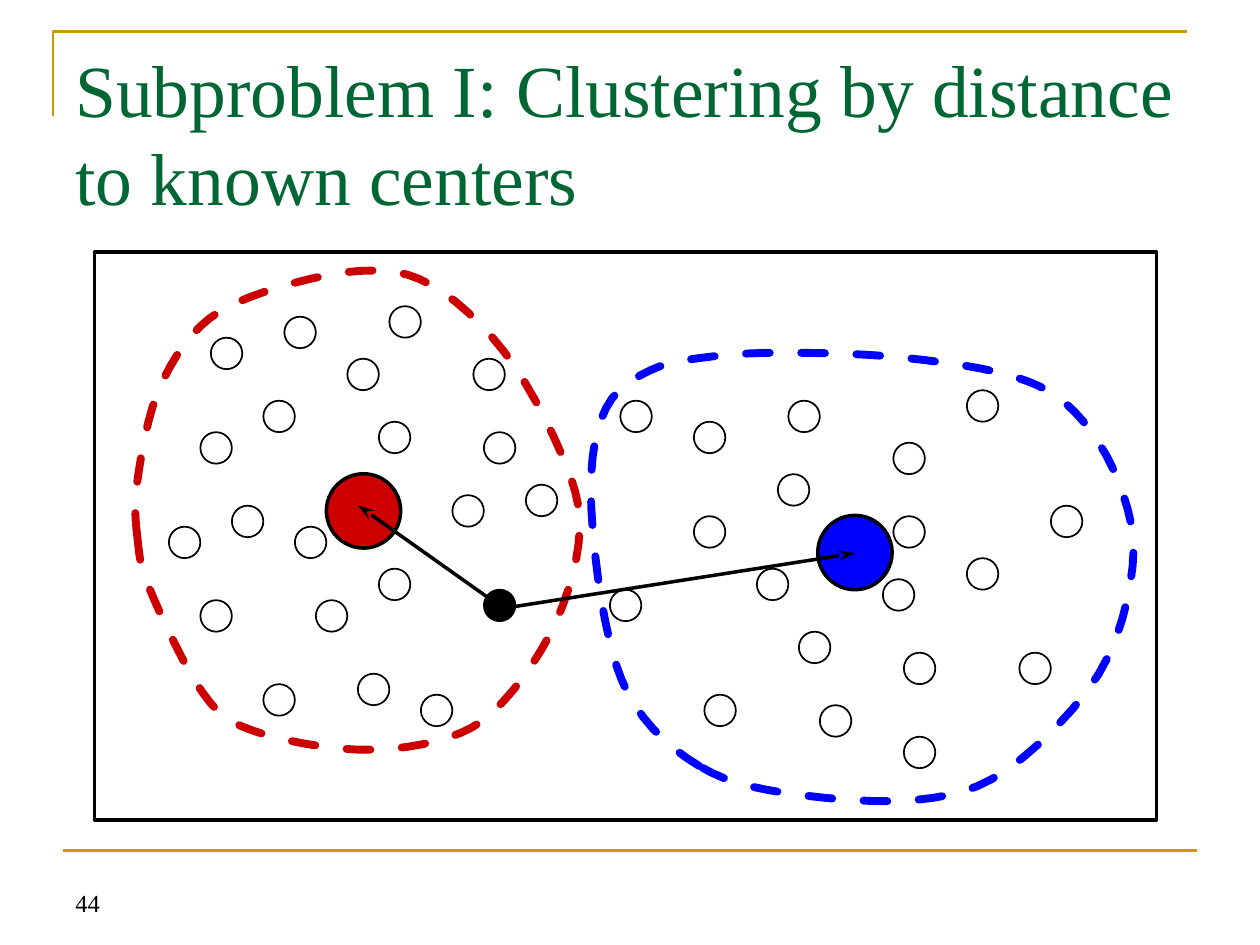
from lxml import etree
from pptx import Presentation
from pptx.dml.color import RGBColor
from pptx.enum.dml import MSO_LINE
from pptx.enum.shapes import MSO_CONNECTOR, MSO_SHAPE
from pptx.enum.text import MSO_ANCHOR
from pptx.oxml.ns import qn
from pptx.util import Cm, Pt

RECT, OVAL = MSO_SHAPE.RECTANGLE, MSO_SHAPE.OVAL
LINE, DASH = MSO_CONNECTOR.STRAIGHT, MSO_LINE.DASH
TOP, BOTTOM = MSO_ANCHOR.TOP, MSO_ANCHOR.BOTTOM
GOLD, GREEN, BLACK = "CC9900", "006633", "000000"
RED, BLUE = "CC0000", "0000FF"

DOT, HUB = 0.25, 0.59
GRID_X, GRID_Y, UNIT = 1.34, 2.43, 1 / 12
STEPS = 6

DOT_COLS = {
    0: [21], 1: [11], 3: [4], 5: [17, 29], 8: [76], 9: [9, 43, 59],
    11: [20, 50], 12: [3, 30], 13: [69], 16: [58], 17: [34], 18: [27],
    19: [6, 84], 20: [50, 69], 21: [0, 12], 24: [76], 25: [20, 56],
    26: [68], 27: [42], 28: [3, 14], 31: [60], 33: [70, 81], 35: [18],
    36: [9], 37: [24, 51], 38: [62], 41: [70],
}
RED_KNOTS = [
    (1.09, 4.26), (1.09, 3.82), (1.25, 3.12), (1.59, 2.59), (2.09, 2.32),
    (2.86, 2.15), (3.42, 2.26), (4, 2.79), (4.45, 3.59), (4.6, 4.2),
    (4.42, 4.92), (4.01, 5.55), (3.57, 5.85), (2.84, 5.95), (2.01, 5.8),
    (1.61, 5.5), (1.19, 4.68),
]
BLUE_KNOTS = [
    (5.55, 6.08), (5.04, 5.6), (4.8, 4.91), (4.69, 3.88), (4.81, 3.24),
    (5.16, 2.94), (5.65, 2.83), (6.29, 2.8), (7.18, 2.84), (8.05, 2.99),
    (8.53, 3.27), (8.88, 3.83), (8.99, 4.49), (8.72, 5.35), (7.99, 6.11),
    (7.26, 6.35), (6.21, 6.29),
]


def paint(code):
    return RGBColor.from_string(code)


def size(*vals):
    return [Cm(val * 2.54) for val in vals]


def grid(col, row):
    return GRID_X + col * UNIT, GRID_Y + row * UNIT


def blend(a, b, c, d, t):
    slope = c - a
    bend = 2 * a - 5 * b + 4 * c - d
    twist = 3 * (b - c) + d - a
    return b + (slope * t + bend * t ** 2 + twist * t ** 3) / 2


def spline(knots):
    count = len(knots)
    spots = []
    for num in range(count):
        near = [knots[(num + step) % count] for step in (-1, 0, 1, 2)]
        for step in range(STEPS):
            spots.append([blend(*axis, step / STEPS) for axis in zip(*near)])
    return spots


class Deck:
    face = "Times New Roman"

    def __init__(self):
        self.prs = Presentation()
        self.prs.slide_width, self.prs.slide_height = size(10, 7.5)
        self.slide = self.prs.slides.add_slide(self.prs.slide_layouts[6])
        self.shapes = self.slide.shapes

    def pen(self, item, code, width):
        item.line.color.rgb = paint(code)
        item.line.width = Pt(width)

    def style(self, item, code, width, fill=None):
        item.shadow.inherit = False
        self.pen(item, code, width)
        if fill:
            item.fill.solid()
            item.fill.fore_color.rgb = paint(fill)
        else:
            item.fill.background()

    def shape(self, kind, box, width, fill=None):
        item = self.shapes.add_shape(kind, *size(*box))
        self.style(item, BLACK, width, fill)

    def ring(self, spot, span, width, fill=None):
        self.shape(OVAL, (*spot, span, span), width, fill)

    def trace(self, spots, code, width, close=False):
        first, *rest = [size(*spot) for spot in spots]
        path = self.shapes.build_freeform(*first)
        path.add_line_segments(rest, close=close)
        item = path.convert_to_shape()
        self.style(item, code, width)
        return item

    def border(self, knots, code):
        item = self.trace(spline(knots), code, 4.5, close=True)
        item.line.dash_style = DASH
        item.element.spPr.find(qn("a:ln")).set("cap", "rnd")

    def link(self, start, end, code, width):
        item = self.shapes.add_connector(LINE, *size(*start, *end))
        self.pen(item, code, width)
        etree.SubElement(item.element.spPr, qn("a:effectLst"))
        return item

    def arrow(self, start, end):
        item = self.link(start, end, BLACK, 2)
        line = item.element.spPr.find(qn("a:ln"))
        etree.SubElement(line, qn("a:tailEnd"), type="stealth", len="lg")

    def text(self, box, words, points, code, anchor):
        frame = self.shapes.add_textbox(*size(*box)).text_frame
        frame.word_wrap = True
        frame.vertical_anchor = anchor
        para = frame.paragraphs[0]
        para.text = words
        para.font.name = self.face
        para.font.size = Pt(points)
        para.font.color.rgb = paint(code)


def main():
    deck = Deck()
    deck.trace([(0.42, 0.92), (0.42, 0.25), (9.42, 0.25)], GOLD, 1.5)
    deck.link((0.5, 6.75), (9.5, 6.75), GOLD, 1.5)
    deck.text((0.5, 6.83, 2.33, 0.5), "44", 14, BLACK, BOTTOM)
    title = "Subproblem I: Clustering by distance to known centers"
    deck.text((0.5, 0.3, 9, 1.25), title, 42, GREEN, TOP)

    deck.shape(RECT, (0.75, 2, 8.43, 4.51), 2)
    for row, cols in DOT_COLS.items():
        for col in cols:
            deck.ring(grid(col, row), DOT, 1)
    deck.border(RED_KNOTS, RED)
    deck.border(BLUE_KNOTS, BLUE)

    deck.ring(grid(30, 27), DOT, 1, BLACK)
    deck.ring((2.59, 3.76), HUB, 2, RED)
    deck.ring((6.49, 4.09), HUB, 2, BLUE)
    deck.arrow((3.94, 4.79), (2.84, 4.01))
    deck.arrow((3.92, 4.84), (6.79, 4.39))
    deck.prs.save("out.pptx")


if __name__ == "__main__":
    main()
